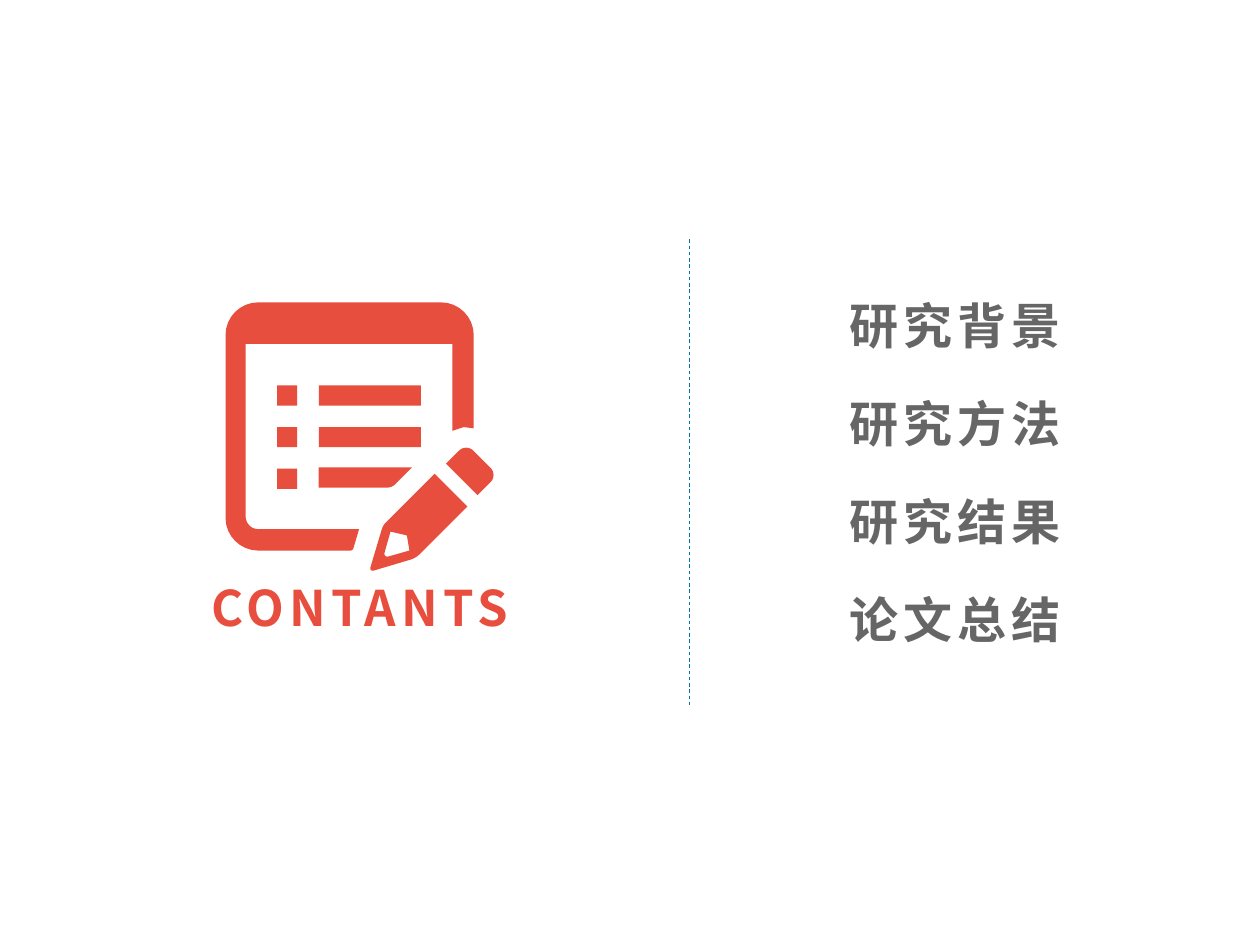
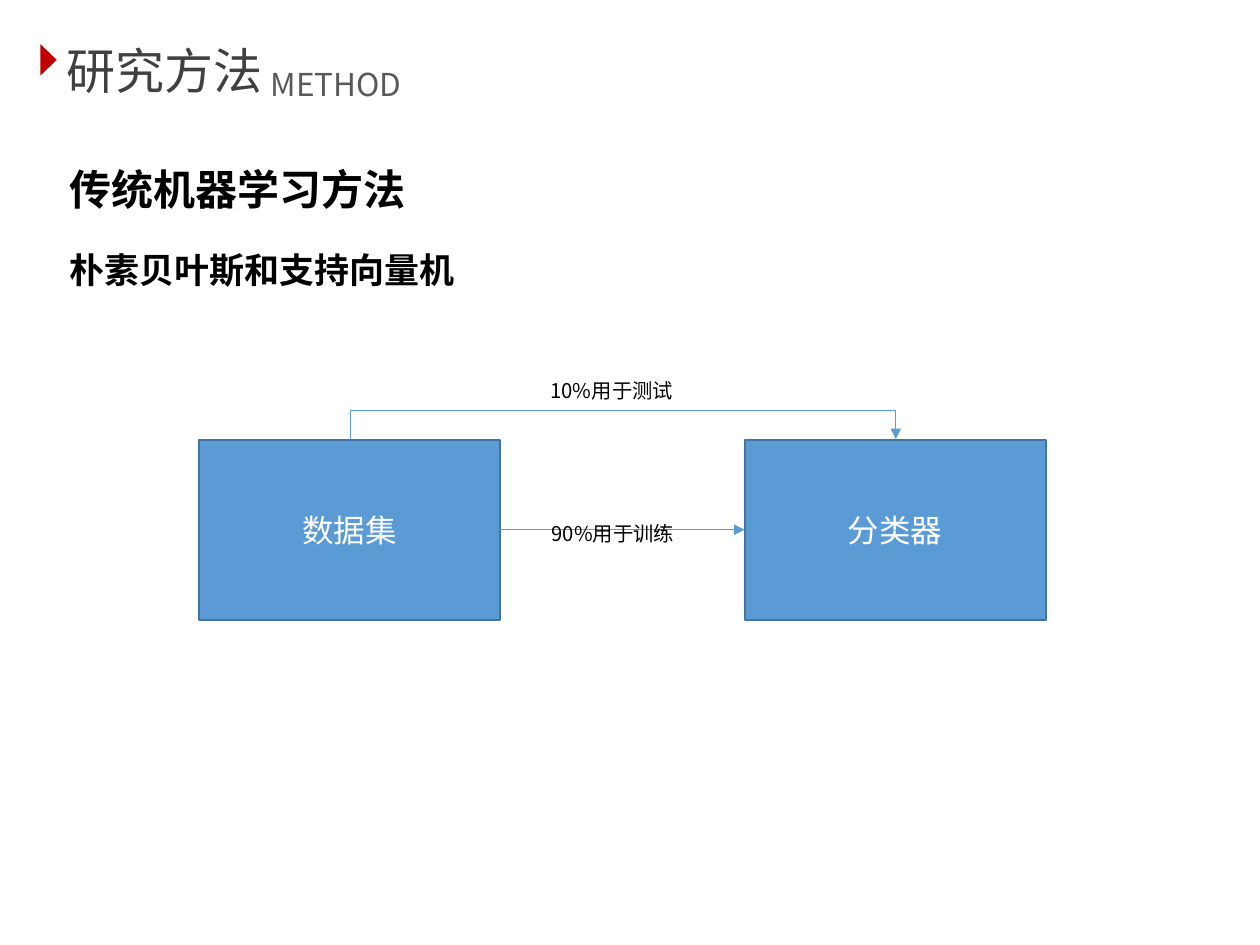
from dataclasses import dataclass
from typing import Optional

from lxml.etree import SubElement
from pptx import Presentation
from pptx.dml.color import RGBColor
from pptx.enum.dml import MSO_LINE as Dash
from pptx.enum.shapes import MSO_CONNECTOR as Link, MSO_SHAPE as Kind
from pptx.enum.text import MSO_ANCHOR as Anchor, MSO_AUTO_SIZE as Fit, PP_ALIGN as Align
from pptx.oxml.ns import qn
from pptx.util import Inches, Pt


@dataclass(frozen=True)
class Theme:
    font: str = "Noto Sans CJK SC"
    box_font: str = "Calibri"
    red: str = "E74E3E"
    mark: str = "C00000"
    gray: str = "666666"
    title: str = "404040"
    sub: str = "595959"
    black: str = "000000"
    white: str = "FFFFFF"
    rule: str = "0174AB"
    blue: str = "5B9BD5"
    edge: str = "43739E"
    big: float = 28
    head: float = 24
    body: float = 20
    small: float = 18
    thin: float = 0.5


THEME = Theme()


@dataclass(frozen=True)
class Label:
    text: str
    left: float
    top: float
    width: float
    height: float
    size: float
    color: str
    bold: bool = False
    align: Align = Align.LEFT
    track: float = 0
    leading: float = 1.0
    raised: int = 0
    wrap: bool = True


@dataclass(frozen=True)
class Corner:
    x: float
    y: float
    radius: float = 0


def rgb(color: str) -> RGBColor:
    return RGBColor.from_string(color)


def style(run, size: float, color: str, font: str, bold: bool = False) -> None:
    run.font.size = Pt(size)
    run.font.bold = bold
    run.font.color.rgb = rgb(color)
    run.font.name = font


def place(shape, left: float, top: float, width: float, height: float) -> None:
    shape.left, shape.top = Inches(left), Inches(top)
    shape.width, shape.height = Inches(width), Inches(height)


def write(shape, label: Label) -> None:
    """Put a label's text, place and format on a text box or title."""
    place(shape, label.left, label.top, label.width, label.height)
    frame = shape.text_frame
    frame.text = label.text
    frame.word_wrap = label.wrap
    frame.auto_size = Fit.SHAPE_TO_FIT_TEXT
    frame.vertical_anchor = Anchor.TOP
    para = frame.paragraphs[0]
    para.alignment = label.align
    para.line_spacing = label.leading
    run = para.runs[0]
    style(run, label.size, label.color, THEME.font, label.bold)
    props = run.font._element
    SubElement(props, qn("a:ea")).set("typeface", THEME.font)
    if label.track:
        props.set("spc", str(int(label.track * 100)))
    if label.raised:
        props.set("baseline", str(label.raised * 1000))


def add_label(slide, label: Label) -> None:
    write(slide.shapes.add_textbox(0, 0, 0, 0), label)


def paint(shape, fill: str, edge: Optional[str] = None) -> None:
    shape.shadow.inherit = False
    shape.fill.solid()
    shape.fill.fore_color.rgb = rgb(fill)
    if edge:
        shape.line.color.rgb = rgb(edge)
        shape.line.width = Pt(1)
    else:
        shape.line.fill.background()


def add_shape(shapes, kind: Kind, left: float, top: float, width: float,
              height: float, fill: str, edge: Optional[str] = None):
    shape = shapes.add_shape(kind, Inches(left), Inches(top), Inches(width), Inches(height))
    paint(shape, fill, edge)
    return shape


def trace(corners: list[Corner], steps: int = 8) -> list[tuple[int, int]]:
    """Turn corners into points, rounding each one that has a radius."""
    points = []
    for i, now in enumerate(corners):
        if not now.radius:
            points.append((now.x, now.y))
            continue
        ends = []
        for other in (corners[i - 1], corners[(i + 1) % len(corners)]):
            dx, dy = other.x - now.x, other.y - now.y
            part = now.radius / (dx * dx + dy * dy) ** 0.5
            ends.append((dx * part, dy * part))
        (ax, ay), (bx, by) = ends
        for step in range(steps + 1):
            t = step / steps
            u = 1 - t
            # Cubic arc whose handles reach 0.55 of the way to the corner
            a, b = u ** 3 + 1.35 * u * u * t, t ** 3 + 1.35 * t * t * u
            points.append((now.x + a * ax + b * bx, now.y + a * ay + b * by))
    return [(Inches(x), Inches(y)) for x, y in points]


def add_form(shapes, color: str, *outlines: list[Corner]) -> None:
    """Draw one closed form; outlines after the first are holes."""
    first, *holes = [trace(outline) for outline in outlines]
    pen = shapes.build_freeform(*first[0], scale=1.0)
    pen.add_line_segments(first[1:], close=True)
    for hole in holes:
        pen.move_to(*hole[0])
        pen.add_line_segments(hole[1:], close=True)
    paint(pen.convert_to_shape(), color)


def add_link(slide, kind: Link, x1: float, y1: float, x2: float, y2: float,
             color: str, arrow: bool = False):
    link = slide.shapes.add_connector(kind, Inches(x1), Inches(y1), Inches(x2), Inches(y2))
    link.line.color.rgb = rgb(color)
    link.line.width = Pt(THEME.thin)
    if arrow:
        SubElement(link.line._get_or_add_ln(), qn("a:tailEnd")).set("type", "triangle")
    SubElement(link._element.spPr, qn("a:effectLst"))
    return link


def add_loop(slide, x1: float, x2: float, base: float, rise: float) -> None:
    """Draw an arrow that goes up from x1, across, and down to x2."""
    thin, span = 0.01, x2 - x1
    left, top = (x1 + x2 - thin) / 2, base - span / 2
    link = add_link(slide, Link.ELBOW, left, top, left + thin, top + span, THEME.blue, True)
    props = link._element.spPr
    for name, value in (("rot", "5400000"), ("flipH", "1"), ("flipV", "1")):
        props.find(qn("a:xfrm")).set(name, value)
    geom = props.find(qn("a:prstGeom"))
    guides = geom.find(qn("a:avLst"))
    if guides is None:
        guides = SubElement(geom, qn("a:avLst"))
    guide = SubElement(guides, qn("a:gd"))
    guide.set("name", "adj1")
    guide.set("fmla", f"val {round(rise / thin * 100000)}")


def add_icon(slide) -> None:
    """Draw a page with a list and a pencil."""
    parts = slide.shapes.add_group_shape().shapes
    red = THEME.red
    page = [
        Corner(2.85, 4.2), Corner(2.8, 4.37, 0.02), Corner(1.79, 4.37, 0.26),
        Corner(1.79, 2.4, 0.26), Corner(3.76, 2.4, 0.26), Corner(3.76, 3.4),
        Corner(3.68, 3.39), Corner(3.59, 3.42), Corner(3.59, 2.73),
        Corner(1.95, 2.73), Corner(1.95, 4.2, 0.1),
    ]
    pencil = [
        Corner(3.45, 3.76), Corner(3.71, 4.02), Corner(3.3, 4.43, 0.04),
        Corner(2.93, 4.54, 0.04), Corner(3.04, 4.17, 0.03),
    ]
    tip = [
        Corner(3.1, 4.22), Corner(3.23, 4.25), Corner(3.25, 4.37),
        Corner(3.04, 4.43, 0.05),
    ]
    rubber = [
        Corner(3.54, 3.68), Corner(3.7, 3.52, 0.08), Corner(3.95, 3.77, 0.08),
        Corner(3.79, 3.93),
    ]
    last = [
        Corner(2.53, 3.71), Corner(3.27, 3.71), Corner(3.11, 3.87, 0.03),
        Corner(2.53, 3.87),
    ]
    add_form(parts, red, page)
    add_form(parts, red, pencil, tip)
    add_form(parts, red, rubber)
    add_form(parts, red, last)
    for row in range(3):
        top = 3.06 + 0.33 * row
        add_shape(parts, Kind.RECTANGLE, 2.2, top, 0.16, 0.16, red)
        if row < 2:
            add_shape(parts, Kind.RECTANGLE, 2.53, top, 0.81, 0.16, red)


def add_slide(deck, title: Label):
    slide = deck.slides.add_slide(deck.slide_layouts[5])
    write(slide.shapes.title, title)
    return slide


def add_contents(deck) -> None:
    slide = add_slide(deck, Label("CONTANTS", 1.4, 4.53, 2.91, 0.57, THEME.big, THEME.red,
                                  bold=True, align=Align.CENTER, track=3))
    rule = add_link(slide, Link.STRAIGHT, 5.47, 1.9, 5.47, 5.6, THEME.rule)
    rule.line.dash_style = Dash.DASH
    for i, topic in enumerate(("研究背景", "研究方法", "研究结果", "论文总结")):
        add_label(slide, Label(topic, 6.64, 2.3 + 0.777 * i, 1.96, 0.57, THEME.big,
                               THEME.gray, bold=True, track=3))
    add_icon(slide)


def add_box(slide, text: str, left: float):
    box = add_shape(slide.shapes, Kind.RECTANGLE, left, 3.49, 2.39, 1.43,
                    THEME.blue, THEME.edge)
    box.text_frame.text = text
    box.text_frame.vertical_anchor = Anchor.MIDDLE
    para = box.text_frame.paragraphs[0]
    para.alignment = Align.CENTER
    style(para.runs[0], THEME.small, THEME.white, THEME.box_font)
    return box


def add_method(deck) -> None:
    slide = add_slide(deck, Label("研究方法", 0.43, 0.27, 1.8, 0.57, THEME.big, THEME.title))
    mark = add_shape(slide.shapes, Kind.ISOSCELES_TRIANGLE, 0.26, 0.41, 0.25, 0.13, THEME.mark)
    mark.rotation = 90
    data = add_box(slide, "数据集", 1.58)
    sorter = add_box(slide, "分类器", 5.91)
    train = add_link(slide, Link.STRAIGHT, 3.97, 4.21, 5.91, 4.21, THEME.blue, True)
    train.begin_connect(data, 3)
    train.end_connect(sorter, 1)
    add_loop(slide, 2.78, 7.11, 3.49, 0.24)
    labels = [
        Label("METHOD", 2.05, 0.47, 1.35, 0.4, THEME.small, THEME.sub),
        Label("传统机器学习方法", 0.45, 1.05, 2.89, 0.64, THEME.head, THEME.black,
              bold=True, leading=1.5),
        Label("朴素贝叶斯和支持向量机", 0.45, 1.76, 3.29, 0.61, THEME.body, THEME.black,
              bold=True, leading=1.5),
    ]
    for text, left, top in (("90%用于训练", 4.28, 3.89), ("10%用于测试", 4.27, 2.75)):
        labels.append(Label(text, left, top, 1.34, 0.44, THEME.body, THEME.black,
                            leading=1.5, raised=30, wrap=False))
    for label in labels:
        add_label(slide, label)


def main() -> None:
    deck = Presentation()
    deck.slide_width, deck.slide_height = Inches(10), Inches(7.5)
    add_contents(deck)
    add_method(deck)
    deck.save("out.pptx")


if __name__ == "__main__":
    main()
